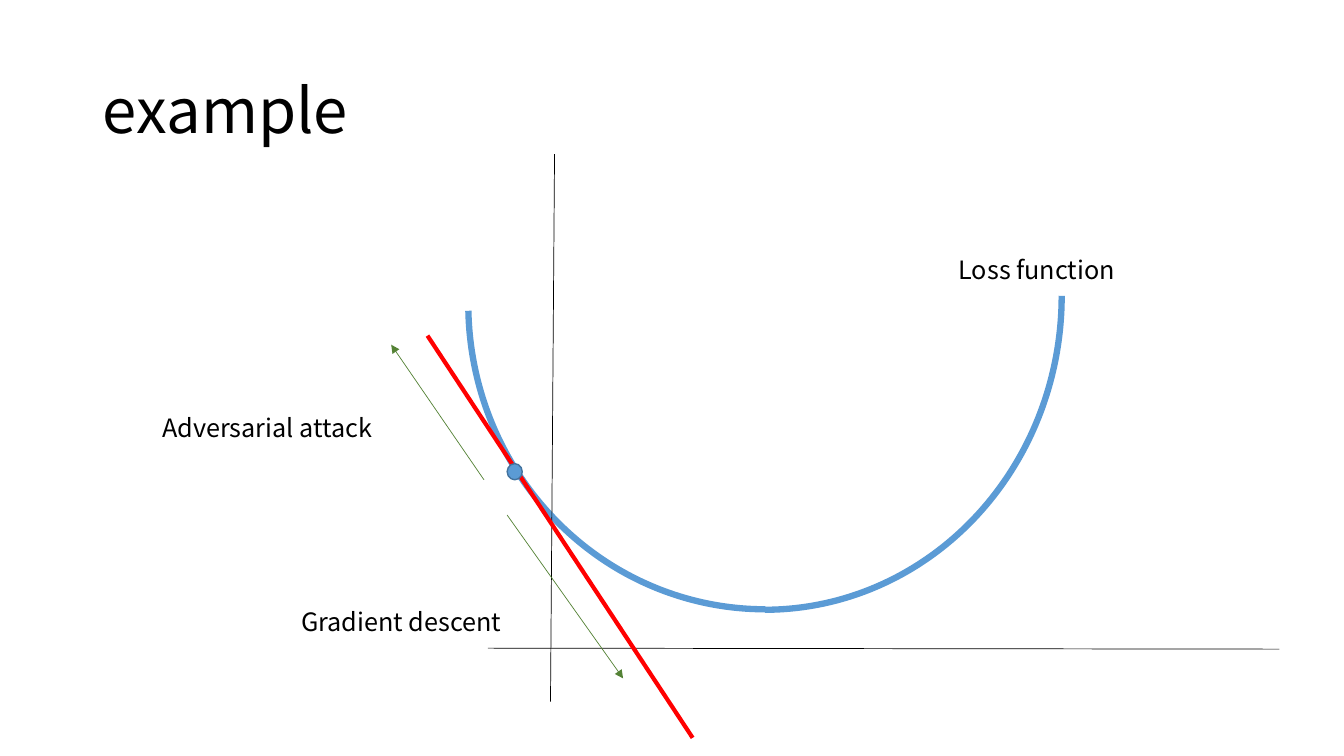
from pptx import Presentation
from pptx.dml.color import RGBColor as Rgb
from pptx.enum.shapes import MSO_CONNECTOR as Conn, MSO_SHAPE as Kind
from pptx.enum.text import MSO_ANCHOR as Anchor, MSO_AUTO_SIZE as Fit, PP_ALIGN as Align
from pptx.oxml.ns import qn
from pptx.util import Inches, Pt
from lxml.etree import SubElement as Sub

COLS, ROWS = 1333, 750
FONT = "Noto Sans CJK KR"
HUES = {"text": "000000", "axis": "000000", "curve": "5B9BD5",
        "edge": "43739E", "slope": "FF0000", "step": "548235"}

deck = Presentation()
deck.slide_width, deck.slide_height = Inches(13.33), Inches(7.5)
COL, ROW = deck.slide_width / COLS, deck.slide_height / ROWS


def place(box, x, y):
    """Turn a grid point inside a box into slide lengths."""
    return round((box[0] + x) * COL), round((box[1] + y) * ROW)


def area(box, x, y, wide, high):
    """Turn a grid area inside a box into slide lengths."""
    return *place(box, x, y), round(wide * COL), round(high * ROW)


def ink(line, hue, width):
    """Set the colour and width of a line."""
    line.color.rgb = Rgb.from_string(HUES[hue])
    line.width = Pt(width)


def write(para, text, size):
    """Add one run of text to a paragraph."""
    run = para.add_run()
    run.text = text
    run.font.name, run.font.size = FONT, Pt(size)
    run.font.color.rgb = Rgb.from_string(HUES["text"])


def head(slide, box):
    """Fill the title placeholder."""
    title = slide.shapes.title
    title.left, title.top, title.width, title.height = area(box, 0, 0, *box[2:])
    frame = title.text_frame
    frame.vertical_anchor = Anchor.MIDDLE
    para = frame.paragraphs[0]
    para.alignment, para.line_spacing = Align.LEFT, 0.9
    write(para, text="example", size=44)


def stroke(slide, box, start, end, hue, width, arrow=False):
    """Draw a straight line, with an arrowhead if asked."""
    link = slide.shapes.add_connector(
        Conn.STRAIGHT, *place(box, *start), *place(box, *end))
    ink(link.line, hue, width)
    if arrow:
        Sub(link.line._get_or_add_ln(), qn("a:tailEnd"), type="triangle")
    Sub(link._element.spPr, qn("a:effectLst"))


def curve(slide, box, spot, start, flip):
    """Draw one quarter of the loss curve."""
    arc = slide.shapes.add_shape(Kind.ARC, *area(box, *spot))
    arc.shadow.inherit = False
    arc.fill.background()
    arc.rotation = 90
    arc.adjustments[0] = start
    if flip:
        arc._element.spPr.find(qn("a:xfrm")).set("flipV", "1")
    ink(arc.line, "curve", 4.5)


def dot(slide, box, spot):
    """Mark the point where the slope touches the curve."""
    mark = slide.shapes.add_shape(Kind.OVAL, *area(box, *spot))
    mark.shadow.inherit = False
    mark.fill.solid()
    mark.fill.fore_color.rgb = Rgb.from_string(HUES["curve"])
    ink(mark.line, "edge", 1)


def label(slide, box, spot, text):
    """Add a one-line label."""
    frame = slide.shapes.add_textbox(*area(box, *spot)).text_frame
    frame.word_wrap = False
    frame.auto_size = Fit.SHAPE_TO_FIT_TEXT
    write(frame.paragraphs[0], text, 18)


def plot(slide, box):
    """Draw the loss curve with its axes, slope, steps and labels."""
    curve(slide, box, (296, -154, 623, 589), 162, False)
    curve(slide, box, (305, -146, 606, 589), 162.8, True)
    stroke(slide, box, (333, 490), (1118, 491), "axis", 0.5)
    stroke(slide, box, (395, 543), (399, 0), "axis", 0.5)
    stroke(slide, box, (273, 180), (536, 579), "slope", 3)
    dot(slide, box, (352, 307, 15, 16))
    stroke(slide, box, (352, 358), (467, 520), "step", 0.5, True)
    stroke(slide, box, (329, 323), (237, 189), "step", 0.5, True)
    for spot, text in (((0, 251, 272, 40), "Adversarial attack"),
                       ((138, 444, 254, 40), "Gradient descent"),
                       ((790, 94, 206, 40), "Loss function")):
        label(slide, box, spot, text)


def main():
    """Build the slide and save it."""
    slide = deck.slides.add_slide(deck.slide_layouts[5])
    head(slide, (92, 40, 1150, 145))
    plot(slide, (151, 153, 1118, 579))
    deck.save("out.pptx")


if __name__ == "__main__":
    main()
